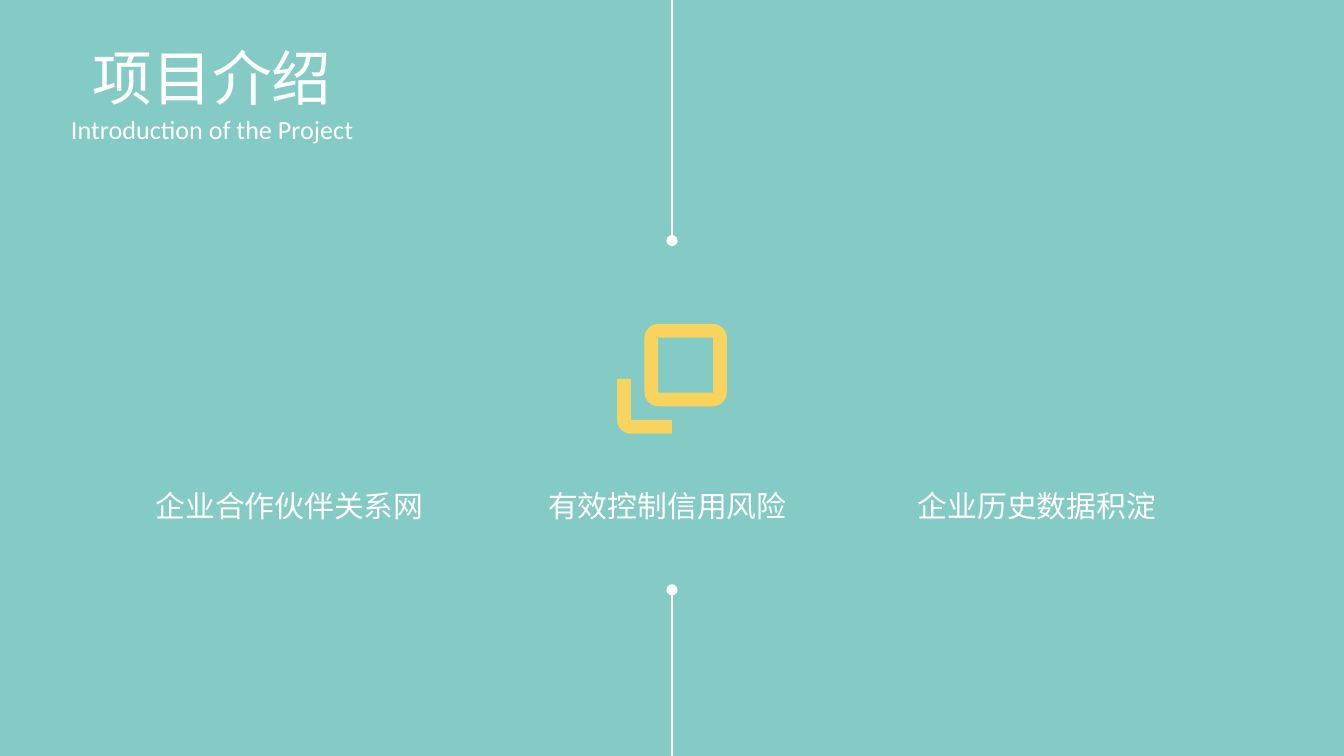
"""Build the project introduction slide with three benefits and a centre icon."""
from math import cos, pi, sin

from lxml.etree import SubElement
from pptx import Presentation
from pptx.dml.color import RGBColor
from pptx.enum.shapes import MSO_CONNECTOR
from pptx.enum.text import MSO_ANCHOR, PP_ALIGN
from pptx.oxml.ns import qn
from pptx.util import Pt

COLORS = {"background": "84CBC5", "light": "FFFFFF", "icon": "F8D35D"}
CHINESE_FONT = "Noto Sans CJK SC"


def write_text(shape, text, size, font_name=CHINESE_FONT, align=PP_ALIGN.LEFT):
    frame = shape.text_frame
    frame.word_wrap = True
    frame.vertical_anchor = MSO_ANCHOR.MIDDLE
    paragraph = frame.paragraphs[0]
    paragraph.alignment = align
    run = paragraph.add_run()
    run.text = text
    run.font.size = Pt(size)
    run.font.name = font_name
    run.font.color.rgb = RGBColor.from_string(COLORS["light"])
    SubElement(run.font._element, qn("a:ea"), typeface=font_name)


def corner(x, y, start):
    angles = [(start + step * 15) * pi / 180 for step in range(7)]
    return [(x + cos(angle), y + sin(angle)) for angle in angles]


presentation = Presentation()
presentation.slide_width = Pt(720)
presentation.slide_height = Pt(405)
slide = presentation.slides.add_slide(presentation.slide_layouts[5])
slide.background.fill.solid()
slide.background.fill.fore_color.rgb = RGBColor.from_string(COLORS["background"])

title = slide.shapes.title
title.left, title.top, title.width, title.height = Pt(13.7), Pt(7.2), Pt(200), Pt(67.7)
write_text(title, "项目介绍", 32, align=PP_ALIGN.CENTER)
subtitle = slide.shapes.add_textbox(Pt(14.4), Pt(54.7), Pt(198.7), Pt(28.8))
write_text(subtitle, "Introduction of the Project", 14, "Calibri", PP_ALIGN.CENTER)

for top, bottom, dot_end in [(0, 128.9, "a:tailEnd"), (316, 405, "a:headEnd")]:
    line = slide.shapes.add_connector(
        MSO_CONNECTOR.STRAIGHT, Pt(360), Pt(top), Pt(360), Pt(bottom))
    line.line.color.rgb = RGBColor.from_string(COLORS["light"])
    line.line.width = Pt(0.75)
    properties = line._element.spPr
    SubElement(properties.find(qn("a:ln")), qn(dot_end), type="oval")
    SubElement(properties, qn("a:effectLst"))

icon_left, icon_top, icon_unit = 330.6, 173.6, 7.35
front_square = corner(3, 1, 180) + corner(7, 1, 270) + corner(7, 5, 0) + corner(3, 5, 90)
square_hole = [(3, 1), (3, 5), (7, 5), (7, 1)]
back_corner = [(1, 4), (0, 4)] + corner(1, 7, 180)[::-1][6:] + corner(1, 7, 90)[::-1]
back_corner = [(1, 4), (0, 4)] + corner(1, 7, 90)[::-1] + [(4, 8), (4, 7), (1, 7)]
contours = [
    [(Pt(icon_left + x * icon_unit), Pt(icon_top + y * icon_unit)) for x, y in contour]
    for contour in (front_square, square_hole, back_corner)
]
builder = slide.shapes.build_freeform(*contours[0][0])
builder.add_line_segments(contours[0][1:])
for contour in contours[1:]:
    builder.move_to(*contour[0])
    builder.add_line_segments(contour[1:])
icon = builder.convert_to_shape()
icon.shadow.inherit = False
icon.fill.solid()
icon.fill.fore_color.rgb = RGBColor.from_string(COLORS["icon"])
icon.line.fill.background()

benefits = [(76.3, "企业合作伙伴关系网"), (286.6, "有效控制信用风险"), (484.6, "企业历史数据积淀")]
for left, text in benefits:
    label = slide.shapes.add_textbox(Pt(left), Pt(253.4), Pt(181.4), Pt(34.6))
    write_text(label, text, 16)

presentation.save("out.pptx")
